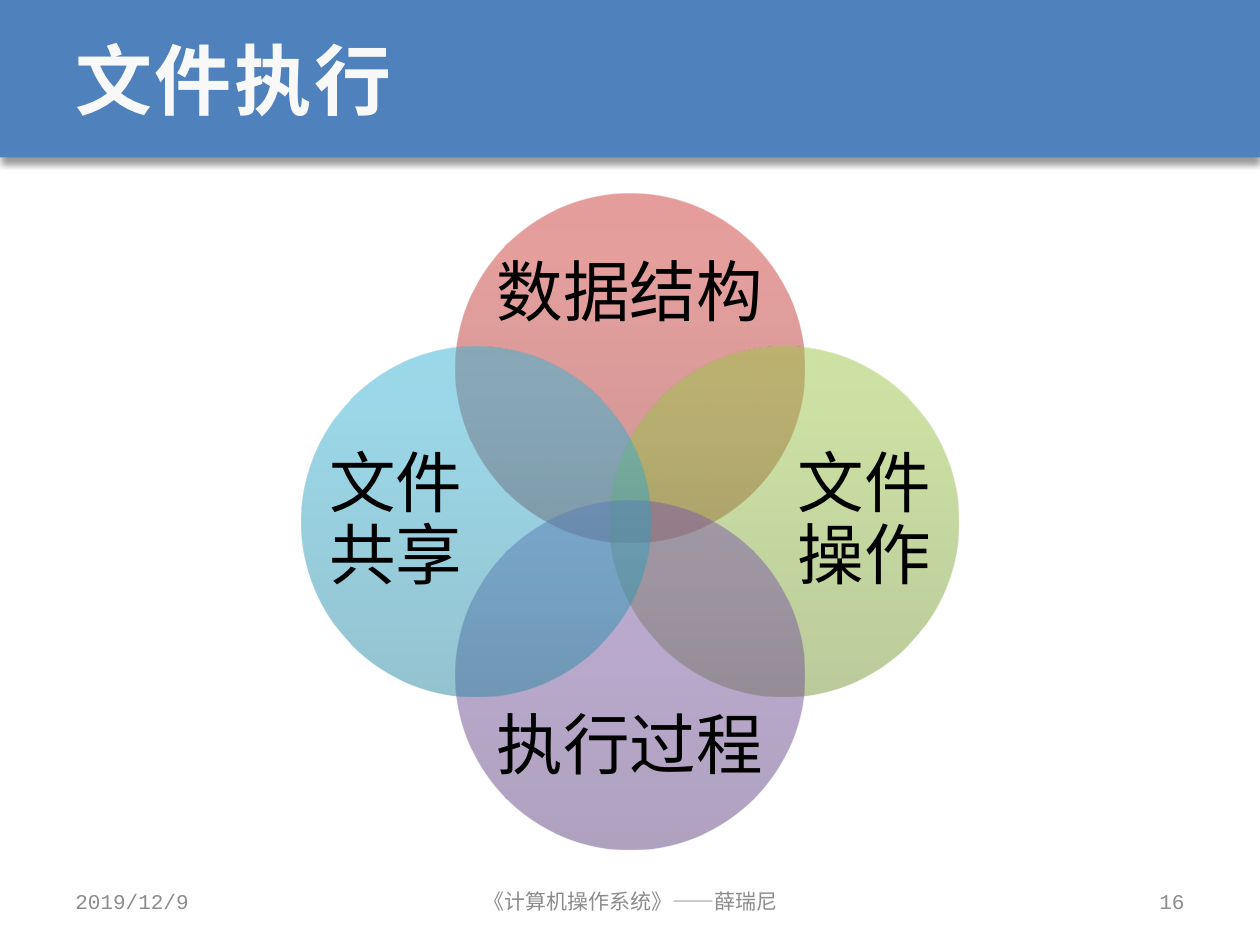
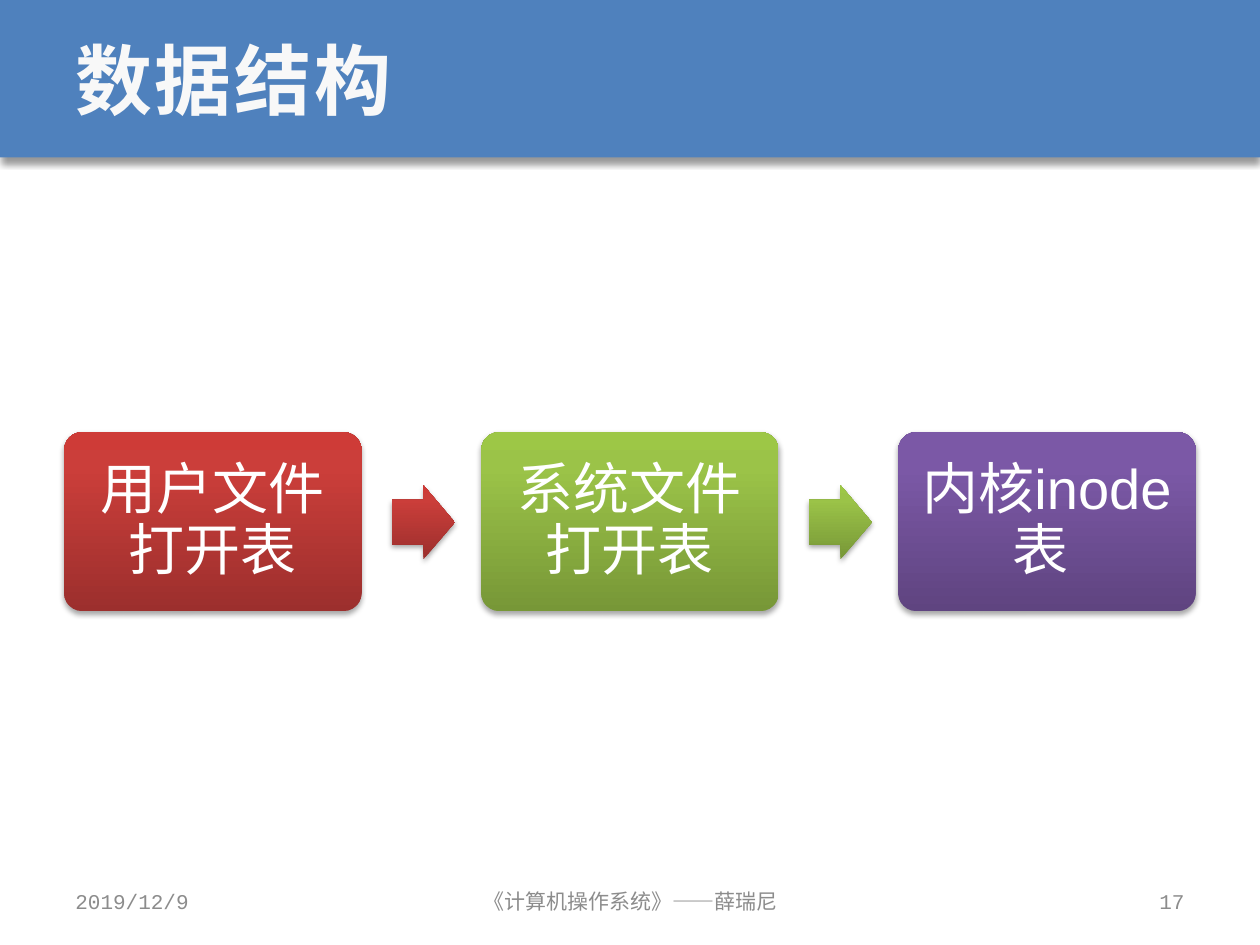
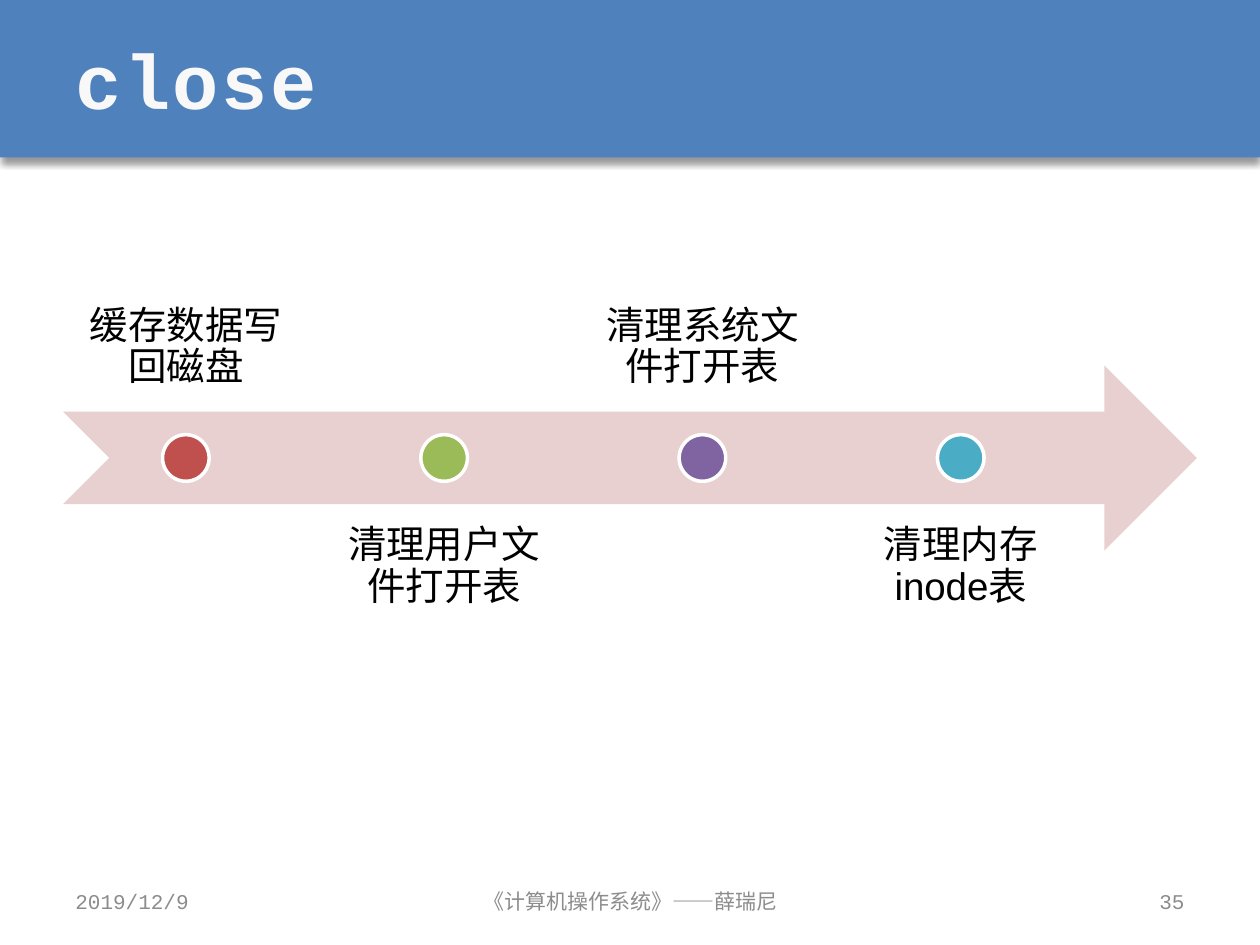
from lxml import etree
from pptx import Presentation
from pptx.dml.color import RGBColor
from pptx.enum.shapes import MSO_SHAPE
from pptx.enum.text import MSO_ANCHOR, PP_ALIGN
from pptx.oxml.ns import qn
from pptx.util import Inches, Pt

RECT, ROUND = MSO_SHAPE.RECTANGLE, MSO_SHAPE.ROUNDED_RECTANGLE
OVAL, ARROW = MSO_SHAPE.OVAL, MSO_SHAPE.RIGHT_ARROW
NOTCHED = MSO_SHAPE.NOTCHED_RIGHT_ARROW
LEFT, CENTER, RIGHT = PP_ALIGN.LEFT, PP_ALIGN.CENTER, PP_ALIGN.RIGHT
TOP, MIDDLE, BOTTOM = MSO_ANCHOR.TOP, MSO_ANCHOR.MIDDLE, MSO_ANCHOR.BOTTOM

BLUE, PALE, GREY, BLACK, WHITE = "4F81BD", "F8F8F8", "8C8C8C", "000000", "FFFFFF"
ROSE = "E8D0D0"
SANS, MONO = "Arial", "Courier New"
RED_FADE = ("9C2F2D", "CB3E3A", "CE3B37")
GREEN_FADE = ("779737", "9BC348", "9DC746")
PURPLE_FADE = ("5F4480", "7B58A6", "7C57A8")
AQUA_FADE = ("2A88A2", "37B1D2", "34B4D6")
DATE, COURSE = "2019/12/9", "《计算机操作系统》——薛瑞尼"


def color(code):
    """Turn a hex string into a colour."""
    return RGBColor.from_string(code)


def add_node(parent, tag, **attrs):
    """Append a drawing element with the given attributes."""
    return etree.SubElement(parent, qn(tag), {k: str(v) for k, v in attrs.items()})


def add_shape(slide, kind, box, fill=None):
    """Add a preset shape without line or shadow."""
    shape = slide.shapes.add_shape(kind, *map(Inches, box))
    shape.shadow.inherit = False
    shape.line.fill.background()
    if fill:
        shape.fill.solid()
        shape.fill.fore_color.rgb = color(fill)
    return shape


def fade(shape, codes, alpha=100):
    """Fill a shape with a gradient that rises from bottom to top."""
    shape.fill.gradient()
    grad = shape._element.spPr.find(qn("a:gradFill"))
    for child in list(grad):
        grad.remove(child)
    stops = add_node(grad, "a:gsLst")
    for place, code in zip((0, 80, 100), codes):
        stop = add_node(stops, "a:gs", pos=place * 1000)
        tint = add_node(stop, "a:srgbClr", val=code)
        add_node(tint, "a:alpha", val=alpha * 1000)
    add_node(grad, "a:lin", ang=270 * 60000, scaled=0)


def drop_shadow(shape, alpha, blur, dist):
    """Cast a soft black shadow straight down."""
    effects = shape._element.spPr.find(qn("a:effectLst"))
    outer = add_node(effects, "a:outerShdw", blurRad=Pt(blur), dist=Pt(dist),
                     dir=90 * 60000, rotWithShape=0)
    tint = add_node(outer, "a:srgbClr", val=BLACK)
    add_node(tint, "a:alpha", val=alpha * 1000)


def set_text(shape, text, size, code, font=SANS, align=CENTER, anchor=MIDDLE,
             inset=None, spacing=None):
    """Write one wrapped paragraph in a shape and return its run."""
    frame = shape.text_frame
    frame.word_wrap = True
    frame.vertical_anchor = anchor
    if inset is not None:
        frame.margin_left = frame.margin_right = Inches(inset)
        frame.margin_top = frame.margin_bottom = Inches(inset)
    para = frame.paragraphs[0]
    para.text = text
    para.alignment = align
    para.line_spacing = spacing
    run = para.runs[0]
    run.font.size = Pt(size)
    run.font.name = font
    run.font.color.rgb = color(code)
    return run


def add_text(slide, box, *args, **style):
    """Add a text box and return its run."""
    return set_text(slide.shapes.add_textbox(*map(Inches, box)), *args, **style)


def add_slide(deck, title, number):
    """Add a slide with the title band and footers."""
    slide = deck.slides.add_slide(deck.slide_layouts[6])
    band = add_shape(slide, RECT, (0, 0, 10, 1.25), BLUE)
    drop_shadow(band, 40, 4, 3)
    run = add_text(slide, (0.5, 0, 9, 1.25), title, 44, PALE, MONO, LEFT)
    run.font.bold = True
    run._r.get_or_add_rPr().set("spc", "150")
    for left, width, text, align in ((0.5, 2.33, DATE, LEFT),
                                     (3.42, 3.17, COURSE, CENTER),
                                     (7.17, 2.33, str(number), RIGHT)):
        add_text(slide, (left, 6.95, width, 0.4), text, 12, GREY, MONO, align)
    return slide


def add_venn(slide, topics):
    """Draw four overlapping circles around one centre."""
    mid_x, mid_y, size, shift = 5, 4.14, 2.77, 1.22
    for text, codes, dx, dy in topics:
        left, top = mid_x + dx * shift - size / 2, mid_y + dy * shift - size / 2
        fade(add_shape(slide, OVAL, (left, top, size, size)), codes, 50)
        wide, high = (1.07, 2.13) if dx else (2.13, 0.88)
        box = (mid_x + dx * 1.86 - wide / 2, mid_y + dy * 1.8 - high / 2, wide, high)
        add_text(slide, box, text, 38, BLACK, inset=0, spacing=0.9)


def add_flow(slide, steps):
    """Draw a row of boxes with an arrow between neighbours."""
    for i, (text, codes) in enumerate(steps):
        left = 0.51 + i * 3.31
        card = add_shape(slide, ROUND, (left, 3.43, 2.36, 1.42))
        card.adjustments[0] = 0.1
        set_text(card, text, 32, WHITE, inset=0.13, spacing=0.9)
        parts = [card]
        if i < len(steps) - 1:
            arrow = add_shape(slide, ARROW, (left + 2.6, 3.85, 0.5, 0.59))
            arrow.adjustments[0] = 0.6
            parts.append(arrow)
        for part in parts:
            fade(part, codes)
            drop_shadow(part, 35, 3.1, 1.8)


def add_timeline(slide, stages):
    """Draw an arrow with dots and labels above and below in turn."""
    add_shape(slide, NOTCHED, (0.5, 2.9, 9, 1.47), ROSE)
    for i, (text, code) in enumerate(stages):
        left = 0.5 + i * 2.05
        top, anchor = (4, TOP) if i % 2 else (1.79, BOTTOM)
        add_text(slide, (left, top, 1.95, 1.47), text, 22, BLACK,
                 anchor=anchor, inset=0.17, spacing=0.9)
        dot = add_shape(slide, OVAL, (left + 0.79, 3.45, 0.37, 0.37), code)
        dot.line.color.rgb = color(WHITE)
        dot.line.width = Pt(2)


def main():
    """Build and save the deck."""
    deck = Presentation()
    deck.slide_width, deck.slide_height = Inches(10), Inches(7.5)
    add_venn(add_slide(deck, "文件执行", 16), (
        ("数据结构", RED_FADE, 0, -1),
        ("文件操作", GREEN_FADE, 1, 0),
        ("执行过程", PURPLE_FADE, 0, 1),
        ("文件共享", AQUA_FADE, -1, 0)))
    add_flow(add_slide(deck, "数据结构", 17), (
        ("用户文件打开表", RED_FADE),
        ("系统文件打开表", GREEN_FADE),
        ("内核inode表 ", PURPLE_FADE)))
    add_timeline(add_slide(deck, "close", 35), (
        ("缓存数据写回磁盘", "C0504D"),
        ("清理用户文件打开表", "9BBB59"),
        ("清理系统文件打开表", "8064A2"),
        ("清理内存inode表", "4BACC6")))
    deck.save("out.pptx")


if __name__ == "__main__":
    main()
